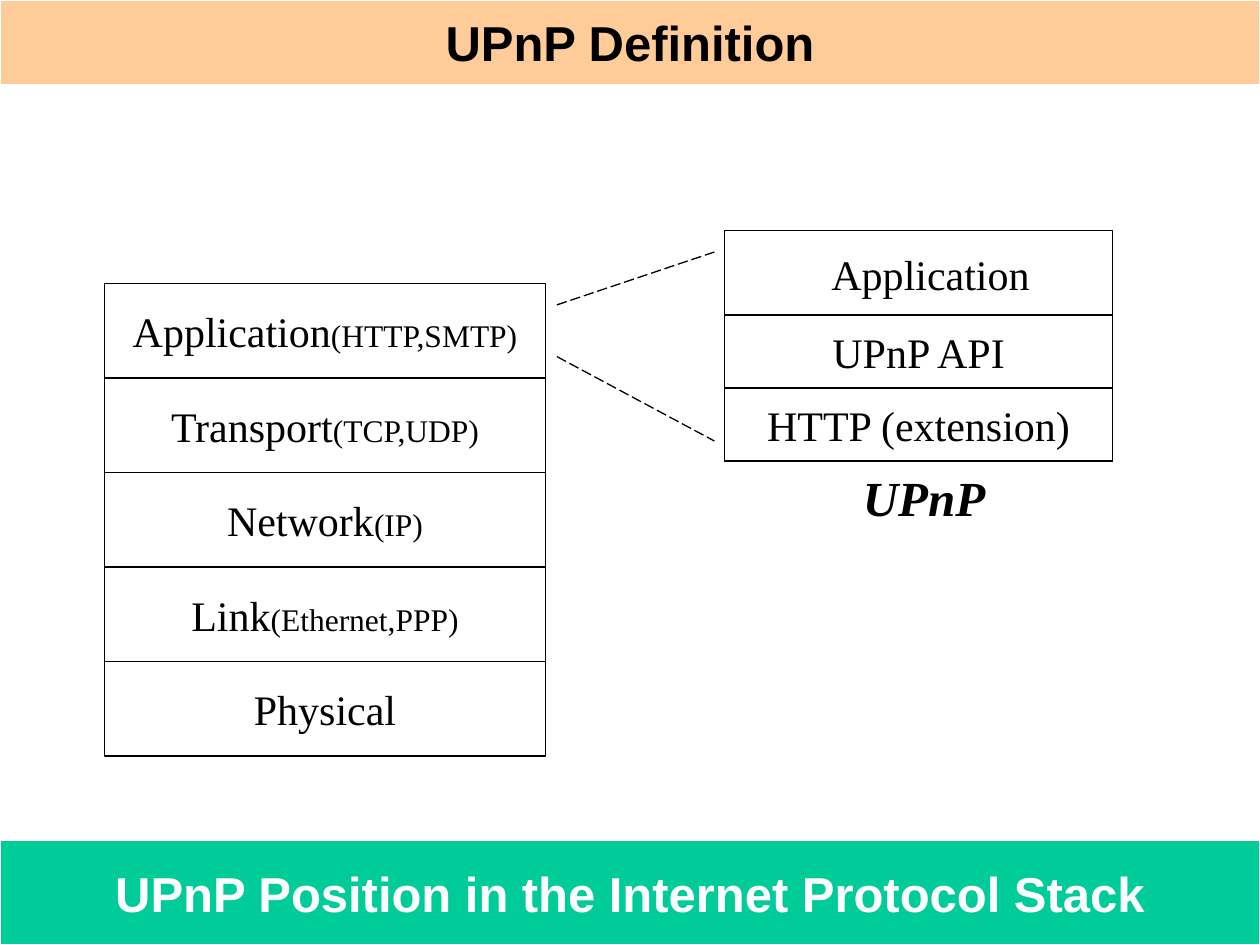
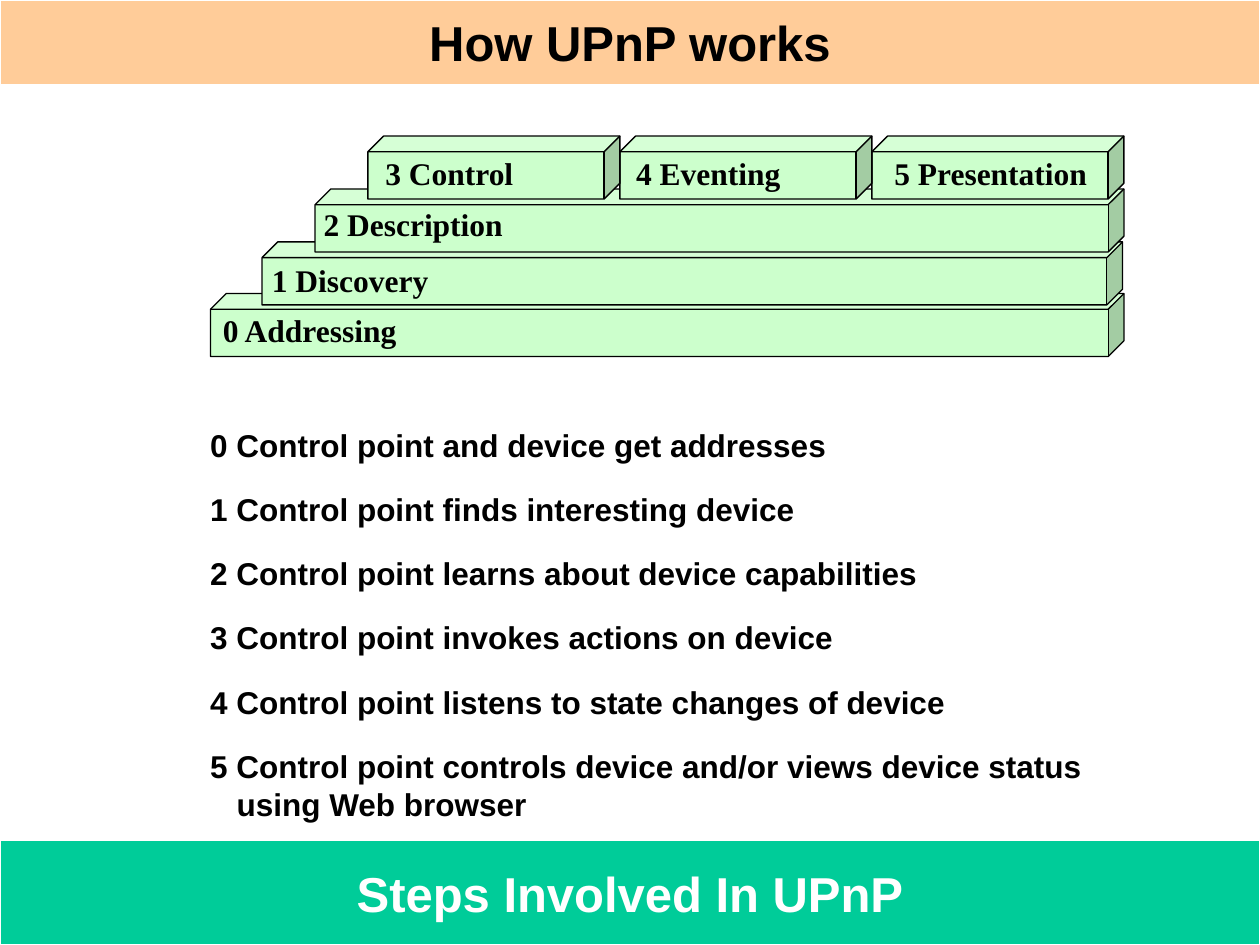
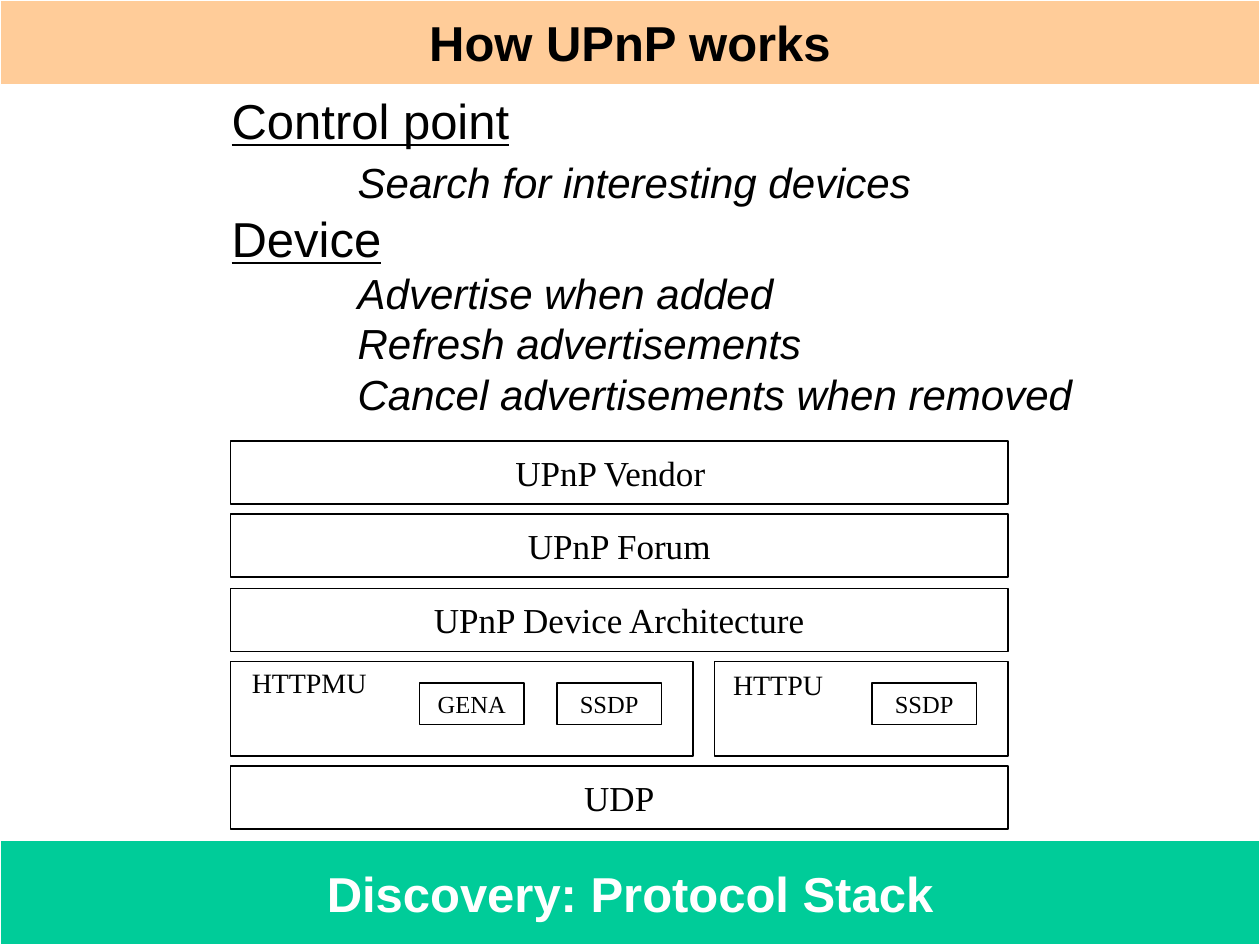
from lxml.etree import SubElement
from pptx import Presentation
from pptx.dml.color import RGBColor
from pptx.enum.dml import MSO_LINE
from pptx.enum.shapes import MSO_CONNECTOR, MSO_SHAPE
from pptx.enum.text import MSO_ANCHOR, MSO_AUTO_SIZE, PP_ALIGN
from pptx.oxml.ns import qn
from pptx.util import Inches, Pt

COLORS = {
    "black": "000000",
    "white": "FFFFFF",
    "title": "FFCC99",
    "footer": "00CC99",
    "step": "CCFFCC",
}
SANS = "Arial"
SERIF = "Times New Roman"
LINE_WIDTH = Pt(0.75)


def color(name):
    return RGBColor.from_string(COLORS[name])


def style_font(font, size, face=SERIF, ink="black", bold=False, italic=False, underline=False):
    font.size = Pt(size)
    font.name = face
    font.bold = bold
    font.italic = italic
    font.underline = underline
    font.color.rgb = color(ink)


def add_block(page, left, top, width, height, fill="white", line="black", kind=MSO_SHAPE.RECTANGLE):
    block = page.shapes.add_shape(kind, Inches(left), Inches(top), Inches(width), Inches(height))
    block.shadow.inherit = False
    block.fill.solid()
    block.fill.fore_color.rgb = color(fill)
    block.line.color.rgb = color(line)
    block.line.width = LINE_WIDTH
    return block


def add_text_block(page, left, top, width, height, text, size, detail="",
                   fill="white", line="black", **font):
    """Rectangle with one centred line; detail follows the text in 18 points."""
    block = add_block(page, left, top, width, height, fill, line)
    frame = block.text_frame
    frame.word_wrap = False
    frame.vertical_anchor = MSO_ANCHOR.MIDDLE
    para = frame.paragraphs[0]
    para.alignment = PP_ALIGN.CENTER
    style_font(para.font, size, **font)
    para.add_run().text = text
    if detail:
        span = para.add_run()
        span.text = detail
        span.font.size = Pt(18)
    return block


def add_text_frame(page, left, top, width, height):
    box = page.shapes.add_textbox(Inches(left), Inches(top), Inches(width), Inches(height))
    box.text_frame.word_wrap = False
    box.text_frame.auto_size = MSO_AUTO_SIZE.SHAPE_TO_FIT_TEXT
    return box.text_frame


def add_label(page, left, top, width, height, text, size, **font):
    para = add_text_frame(page, left, top, width, height).paragraphs[0]
    para.text = text
    style_font(para.font, size, **font)


def add_lines(frame, texts):
    """Yield one paragraph per text, starting with the frame's first one."""
    for index, text in enumerate(texts):
        para = frame.add_paragraph() if index else frame.paragraphs[0]
        para.text = text
        yield para


def indent(para, inches):
    para._p.get_or_add_pPr().set("marL", str(Inches(inches)))


def add_dashed_line(page, start, end):
    line = page.shapes.add_connector(MSO_CONNECTOR.STRAIGHT, *map(Inches, start + end))
    line.line.color.rgb = color("black")
    line.line.width = LINE_WIDTH
    line.line.dash_style = MSO_LINE.LONG_DASH
    SubElement(line._element.spPr, qn("a:effectLst"))


def add_page(deck, title, footer):
    page = deck.slides.add_slide(deck.slide_layouts[6])
    add_text_block(page, 0, 6.67, 10, 0.83, footer, 28, fill="footer", line="white",
                   face=SANS, ink="white", bold=True)
    add_text_block(page, 0, 0, 10, 0.67, title, 28, fill="title", line="white",
                   face=SANS, bold=True)
    return page


def build_definition(deck):
    page = add_page(deck, "UPnP Definition", "UPnP Position in the Internet Protocol Stack")
    layers = [
        ("Application", "(HTTP,SMTP)"),
        ("Transport", "(TCP,UDP)"),
        ("Network", "(IP)"),
        ("Link", "(Ethernet,PPP)"),
        ("Physical", ""),
    ]
    for row, (layer, protocols) in enumerate(layers):
        add_text_block(page, 0.83, 2.25 + 0.75 * row, 3.5, 0.75, layer, 24, protocols)

    add_block(page, 5.75, 1.83, 3.08, 1.83)
    for row, layer in enumerate(["UPnP API", "HTTP (extension)"]):
        add_text_block(page, 5.75, 2.5 + 0.58 * row, 3.08, 0.58, layer, 24)
    add_label(page, 6.5, 1.92, 1.85, 0.5, "Application", 24)
    add_label(page, 6.75, 3.66, 1.25, 0.57, "UPnP", 28, bold=True, italic=True)
    add_dashed_line(page, (4.42, 2.42), (5.67, 2))
    add_dashed_line(page, (4.42, 2.83), (5.67, 3.5))


def build_steps(deck):
    page = add_page(deck, "How UPnP works", "Steps Involved In UPnP")
    # cube left, top, width; label text, left, top, width
    steps = [
        (1.67, 2.33, 7.25, "0 Addressing", 1.67, 2.42, 1.65),
        (2.08, 1.92, 6.83, "1 Discovery", 2.06, 2.02, 1.5),
        (2.5, 1.5, 6.42, "2 Description", 2.47, 1.58, 1.7),
        (6.92, 1.08, 2, "5 Presentation", 7, 1.17, 1.8),
        (4.92, 1.08, 2, "4 Eventing", 4.95, 1.17, 1.42),
        (2.92, 1.08, 2, "3 Control", 2.96, 1.17, 1.3),
    ]
    for left, top, width, text, label_left, label_top, label_width in steps:
        add_block(page, left, top, width, 0.5, "step", kind=MSO_SHAPE.CUBE)
        add_label(page, label_left, label_top, label_width, 0.4, text, 18, bold=True)

    explanations = [
        "0 Control point and device get addresses",
        "1 Control point finds interesting device",
        "2 Control point learns about device capabilities",
        "3 Control point invokes actions on device",
        "4 Control point listens to state changes of device",
        "5 Control point controls device and/or views device status",
        "using Web browser",
    ]
    frame = add_text_frame(page, 1.57, 3.12, 7.25, 3.46)
    for para in add_lines(frame, explanations):
        style_font(para.font, 18, SANS, bold=True)
        if para.text[0].isdigit():
            para.line_spacing = 1.7
        else:
            indent(para, 0.21)


def build_discovery(deck):
    page = add_page(deck, "How UPnP works", "Discovery: Protocol Stack")
    roles = ["Control point", "Device"]
    lines = [
        "Control point",
        "Search for interesting devices",
        "Device",
        "Advertise when added",
        "Refresh advertisements",
        "Cancel advertisements when removed",
    ]
    frame = add_text_frame(page, 1.74, 0.67, 6.95, 2.7)
    for para in add_lines(frame, lines):
        if para.text in roles:
            style_font(para.font, 28, SANS, underline=True)
        else:
            style_font(para.font, 24, SANS, italic=True)
            indent(para, 1)
    search = frame.paragraphs[1]
    search.space_before = Pt(4)
    search.space_after = Pt(1)

    left, width = 1.83, 6.17
    vendor, *_ = [
        add_text_block(page, left, top, width, 0.5, layer, 20)
        for layer, top in [("UPnP Vendor", 3.5), ("UPnP Forum", 4.08),
                           ("UPnP Device Architecture", 4.67), ("UDP", 6.08)]
    ]
    vendor.text_frame.margin_right = Inches(0.24)

    add_block(page, left, 5.25, 3.67, 0.75)
    add_label(page, 1.9, 5.23, 1.2, 0.37, "HTTPMU", 16)
    add_block(page, 5.67, 5.25, 2.33, 0.75)
    add_label(page, 5.72, 5.25, 1, 0.37, "HTTPU", 16)
    for protocol, protocol_left in [("GENA", 3.33), ("SSDP", 4.42), ("SSDP", 6.92)]:
        add_text_block(page, protocol_left, 5.42, 0.83, 0.33, protocol, 14)


def main():
    deck = Presentation()
    deck.slide_width = Inches(10)
    deck.slide_height = Inches(7.5)
    build_definition(deck)
    build_steps(deck)
    build_discovery(deck)
    deck.save("out.pptx")


if __name__ == "__main__":
    main()
